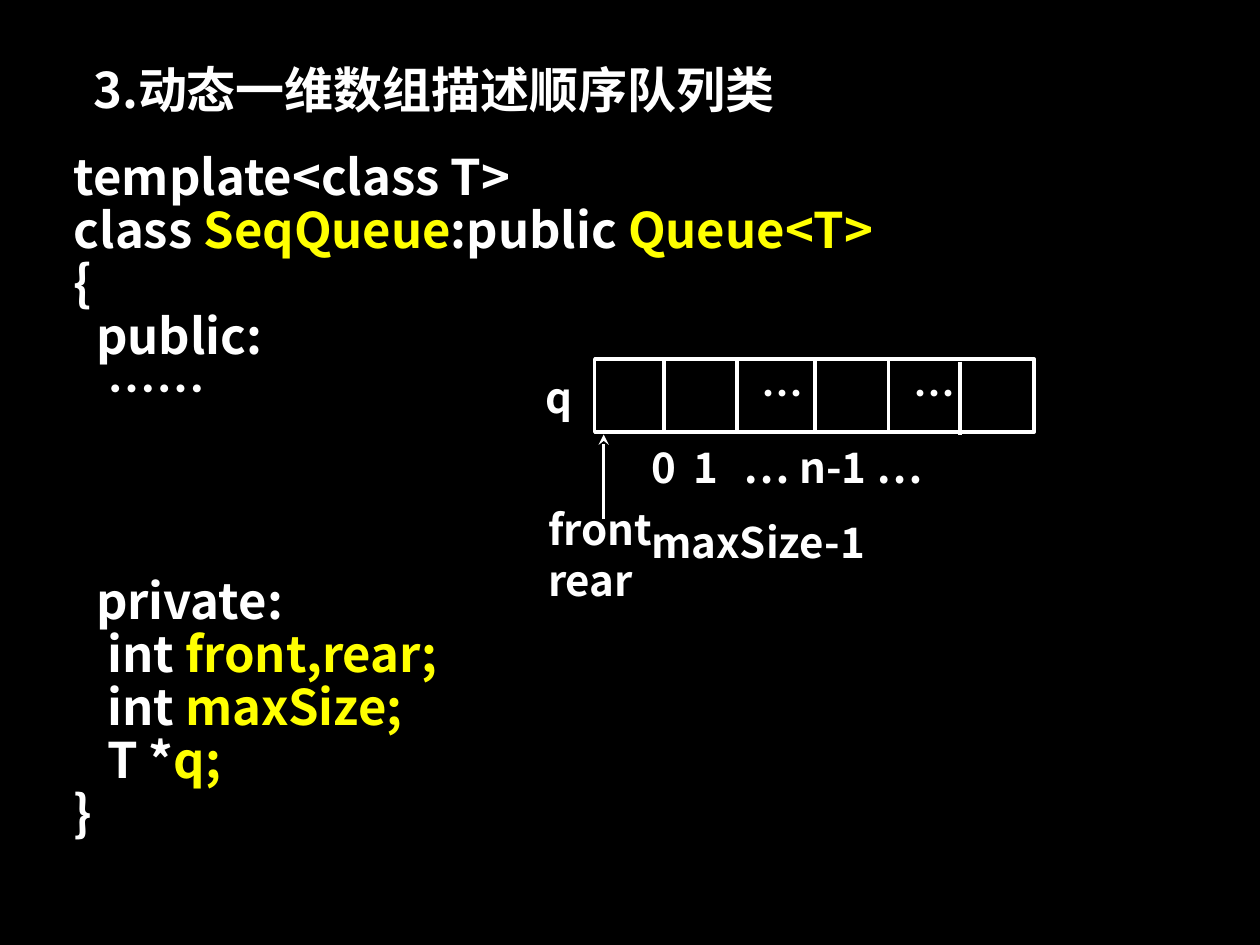
from dataclasses import dataclass

from lxml import etree
from pptx import Presentation
from pptx.dml.color import RGBColor
from pptx.enum.lang import MSO_LANGUAGE_ID
from pptx.enum.shapes import MSO_CONNECTOR, MSO_SHAPE
from pptx.oxml.ns import qn
from pptx.shapes.connector import Connector
from pptx.slide import Slide
from pptx.util import Cm, Pt

RECTANGLE = MSO_SHAPE.RECTANGLE
STRAIGHT = MSO_CONNECTOR.STRAIGHT
CHINESE = MSO_LANGUAGE_ID.SIMPLIFIED_CHINESE

COLORS = {"background": "000000", "plain": "FFFFFF", "accent": "FFFF00"}
FONT = "Noto Sans CJK SC"


@dataclass
class Line:
    segments: tuple[str, ...]
    space_before: float = 0


@dataclass
class TextBlock:
    left: float
    top: float
    width: float
    height: float
    lines: tuple[Line, ...]
    size: float = 24
    spacing: float = 1.0
    tabs: tuple[float, ...] = ()


@dataclass
class Stroke:
    start: tuple[float, float]
    end: tuple[float, float]
    width: float = 2


TITLE = TextBlock(1.63, 1.07, 14.55, 1.45, (Line(("3.动态一维数组描述顺序队列类",)),), 28)
CODE = TextBlock(
    1.24, 2.97, 16.84, 14.12,
    (
        Line(("template<class T>",)),
        Line(("class ", "SeqQueue", ":public ", "Queue<T>")),
        Line(("{",)),
        Line(("  public:",)),
        Line(("   ……",)),
        Line(("  private:",), 91),
        Line(("   int ", "front,rear;")),
        Line(("   int ", "maxSize;")),
        Line(("   T *", "q;")),
        Line(("}",)),
    ),
    28, 0.9,
)
INDEXES = TextBlock(
    12.88, 8.26, 10.21, 1.78, (Line(("0\t1\t… n-1 … maxSize-1",)),),
    spacing=1.5, tabs=(0.85, 1.86),
)
POINTERS = TextBlock(10.8, 10.03, 2.67, 2.29, (Line(("front",)), Line(("rear",))))
ARRAY_NAME = TextBlock(10.74, 6.86, 1.04, 1.78, (Line(("q",)),), spacing=1.5)
ELLIPSES = [
    TextBlock(left, 6.78, 1.22, 1.78, (Line(("…",)),), spacing=1.5)
    for left in (15.11, 18.16)
]

ARRAY_LEFT, ARRAY_TOP, ARRAY_WIDTH, ARRAY_HEIGHT = 11.99, 7.24, 8.86, 1.47
DIVIDERS = [
    Stroke((x, ARRAY_TOP + drop), (x, ARRAY_TOP + ARRAY_HEIGHT + drop))
    for x, drop in ((13.39, 0), (14.86, 0), (16.43, 0), (17.91, 0), (19.35, 0.05))
]
POINTER_ARROW = Stroke((12.17, 10.46), (12.17, 8.76), 1.5)


def color(name: str) -> RGBColor:
    """Return the named colour."""
    return RGBColor.from_string(COLORS[name])


def add_text(slide: Slide, block: TextBlock) -> None:
    """Draw a text block whose segments alternate between plain and accent colours."""
    shape = slide.shapes.add_textbox(
        Cm(block.left), Cm(block.top), Cm(block.width), Cm(block.height)
    )
    text_frame = shape.text_frame
    text_frame.word_wrap = True
    for number, line in enumerate(block.lines):
        paragraph = text_frame.add_paragraph() if number else text_frame.paragraphs[0]
        paragraph.line_spacing = block.spacing
        if line.space_before:
            paragraph.space_before = Pt(line.space_before)
        if block.tabs:
            properties = paragraph._p.get_or_add_pPr()
            tab_list = etree.SubElement(properties, qn("a:tabLst"))
            for position in block.tabs:
                etree.SubElement(tab_list, qn("a:tab"), pos=str(Cm(position)), algn="l")
        for index, segment in enumerate(line.segments):
            run = paragraph.add_run()
            run.text = segment
            run.font.size = Pt(block.size)
            run.font.bold = True
            run.font.name = FONT
            run.font.language_id = CHINESE
            run.font.color.rgb = color("accent" if index % 2 else "plain")
            etree.SubElement(run._r.get_or_add_rPr(), qn("a:ea"), typeface=FONT)


def add_stroke(slide: Slide, stroke: Stroke) -> Connector:
    """Draw a straight line."""
    connector = slide.shapes.add_connector(
        STRAIGHT, *(Cm(value) for value in stroke.start + stroke.end)
    )
    connector.line.color.rgb = color("plain")
    connector.line.width = Pt(stroke.width)
    etree.SubElement(connector._element.spPr, qn("a:effectLst"))
    return connector


def add_array(slide: Slide) -> None:
    """Draw the array frame, its dividers and the pointer arrow."""
    frame = slide.shapes.add_shape(
        RECTANGLE, Cm(ARRAY_LEFT), Cm(ARRAY_TOP), Cm(ARRAY_WIDTH), Cm(ARRAY_HEIGHT)
    )
    frame.shadow.inherit = False
    frame.fill.background()
    frame.line.color.rgb = color("plain")
    frame.line.width = Pt(2)
    for divider in DIVIDERS:
        add_stroke(slide, divider)
    arrow = add_stroke(slide, POINTER_ARROW)
    etree.SubElement(arrow.line._get_or_add_ln(), qn("a:tailEnd"), type="stealth")


def main() -> None:
    """Build the slide on the sequential queue class."""
    presentation = Presentation()
    presentation.slide_width = Cm(25.4)
    presentation.slide_height = Cm(19.05)
    slide = presentation.slides.add_slide(presentation.slide_layouts[6])
    slide.background.fill.solid()
    slide.background.fill.fore_color.rgb = color("background")
    add_array(slide)
    for block in (TITLE, CODE, INDEXES, POINTERS, ARRAY_NAME, *ELLIPSES):
        add_text(slide, block)
    presentation.save("out.pptx")


if __name__ == "__main__":
    main()
